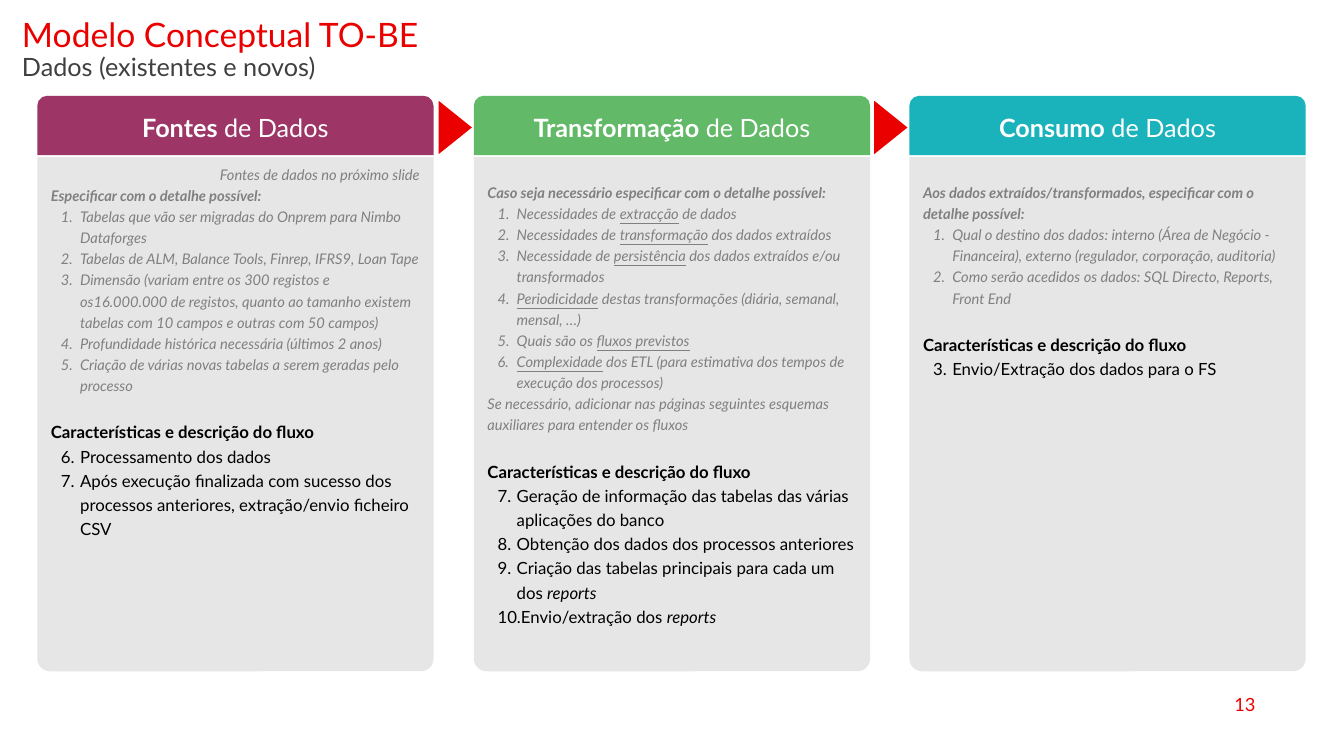
from pptx import Presentation
from pptx.dml.color import RGBColor
from pptx.enum.shapes import MSO_SHAPE
from pptx.enum.text import MSO_ANCHOR, PP_ALIGN
from pptx.oxml.ns import qn
from pptx.util import Inches, Pt
from lxml import etree

ROUND_TOP = MSO_SHAPE.ROUND_2_SAME_RECTANGLE
TRIANGLE = MSO_SHAPE.ISOSCELES_TRIANGLE
TOP, MIDDLE = MSO_ANCHOR.TOP, MSO_ANCHOR.MIDDLE
LEFT, CENTER, RIGHT = PP_ALIGN.LEFT, PP_ALIGN.CENTER, PP_ALIGN.RIGHT

THEME = {
    "font": "Lato",
    "red": "EB0000", "dark": "404040", "gray": "808080", "black": "000000",
    "white": "FFFFFF", "panel": "E7E6E6",
    "purple": "9D3566", "green": "62B967", "teal": "1AB2BB",
    "title": 24, "heading": 18, "number": 13, "flow": 12, "guide": 10.5,
}

CARD_W, HEAD_Y, HEAD_H, BODY_Y, BODY_H = 3.93, 0.95, 0.59, 1.56, 5.1
ARROW_W, ARROW_H, ARROW_Y = 0.53, 0.33, 1.1
FLOW_TITLE = "Características e descrição do fluxo"

COLUMNS = [
    {"left": 0.37, "name": "Fontes", "color": "purple", "inset": 0.05,
     "guide": [
         ("note", "Fontes de dados no próximo slide"),
         ("lead", "Especificar com o detalhe possível:"),
         ("item", "Tabelas que vão ser migradas do Onprem para Nimbo Dataforges"),
         ("item", "Tabelas de ALM, Balance Tools, Finrep, IFRS9, Loan Tape"),
         ("item", "Dimensão (variam entre os 300 registos e os16.000.000 de registos, "
                  "quanto ao tamanho existem tabelas com 10 campos e outras com 50 campos)"),
         ("item", "Profundidade histórica necessária (últimos 2 anos)"),
         ("item", "Criação de várias novas tabelas a serem geradas pelo processo"),
     ],
     "flow": [
         "Processamento dos dados",
         "Após execução finalizada com sucesso dos processos anteriores, "
         "extração/envio ficheiro CSV",
     ]},
    {"left": 4.7, "name": "Transformação", "color": "green", "inset": 0.23,
     "guide": [
         ("lead", "Caso seja necessário especificar com o detalhe possível:"),
         ("item", "Necessidades de _extracção_ de dados"),
         ("item", "Necessidades de _transformação_ dos dados extraídos"),
         ("item", "Necessidade de _persistência_ dos dados extraídos e/ou transformados"),
         ("item", "_Periodicidade_ destas transformações (diária, semanal, mensal, …)"),
         ("item", "Quais são os _fluxos previstos_"),
         ("item", "_Complexidade_ dos ETL (para estimativa dos tempos de execução dos processos)"),
         ("plain", "Se necessário, adicionar nas páginas seguintes esquemas auxiliares "
                   "para entender os fluxos"),
     ],
     "flow": [
         "Geração de informação das tabelas das várias aplicações do banco",
         "Obtenção dos dados dos processos anteriores",
         "Criação das tabelas principais para cada um dos _reports_",
         "Envio/extração dos _reports_",
     ]},
    {"left": 9.02, "name": "Consumo", "color": "teal", "inset": 0.23,
     "guide": [
         ("lead", "Aos dados extraídos/transformados, especificar com o detalhe possível:"),
         ("item", "Qual o destino dos dados: interno (Área de Negócio - Financeira), "
                  "externo (regulador, corporação, auditoria)"),
         ("item", "Como serão acedidos os dados: SQL Directo, Reports, Front End"),
     ],
     "flow": ["Envio/Extração dos dados para o FS"]},
]


def add_run(p, text, size, color, bold=False, italic=False, underline=False):
    r = p.add_run()
    r.text = text
    r.font.name = THEME["font"]
    r.font.size = Pt(THEME[size])
    r.font.color.rgb = RGBColor.from_string(THEME[color])
    r.font.bold, r.font.italic, r.font.underline = bold, italic, underline


def add_block(s, kind, x, y, w, h, color):
    sp = s.shapes.add_shape(kind, Inches(x), Inches(y), Inches(w), Inches(h))
    sp.shadow.inherit = False
    sp.fill.solid()
    sp.fill.fore_color.rgb = RGBColor.from_string(THEME[color])
    sp.line.fill.background()
    return sp


prs = Presentation()
prs.slide_width, prs.slide_height = Inches(13.33), Inches(7.5)
s = prs.slides.add_slide(prs.slide_layouts[6])

tf = s.shapes.add_textbox(Inches(0.12), Inches(0.13), Inches(6.76), Inches(0.59)).text_frame
tf.word_wrap = True
p = tf.paragraphs[0]
p.line_spacing = 0.9
add_run(p, "Modelo Conceptual TO-BE", "title", "red")
p.add_line_break()
add_run(p, "Dados (existentes e novos)", "heading", "dark")

tf = s.shapes.add_textbox(Inches(9.55), Inches(6.79), Inches(3), Inches(0.4)).text_frame
tf.word_wrap = True
tf.vertical_anchor = MIDDLE
p = tf.paragraphs[0]
p.alignment = RIGHT
add_run(p, "13", "number", "red")

for col in COLUMNS:
    sp = add_block(s, ROUND_TOP, col["left"], BODY_Y, CARD_W, BODY_H, "panel")
    sp.adjustments[0], sp.adjustments[1] = 0, 0.032
    tf = sp.text_frame
    tf.word_wrap = True
    tf.vertical_anchor = TOP
    tf.margin_top = Inches(col["inset"])
    rows = [(kind, text, False) for kind, text in col["guide"]]
    rows.append(("lead", FLOW_TITLE, True))
    rows += [("item", text, True) for text in col["flow"]]
    for i, (kind, text, is_flow) in enumerate(rows):
        p = tf.add_paragraph() if i else tf.paragraphs[0]
        p.alignment = RIGHT if kind == "note" else LEFT
        p.line_spacing = 1.2
        if is_flow and kind == "lead":
            p.space_before = Pt(17)
        if kind == "item":
            p.level = 1
            pPr = p._p.get_or_add_pPr()
            pPr.set("marL", str(Inches(0.29)))
            pPr.set("indent", str(Inches(-0.19)))
            etree.SubElement(pPr, qn("a:buFont"), typeface="+mj-lt")
            etree.SubElement(pPr, qn("a:buAutoNum"), type="arabicPeriod")
        size, color = ("flow", "black") if is_flow else ("guide", "gray")
        for j, part in enumerate(text.split("_")):
            marked = j % 2 == 1
            if part:
                add_run(p, part, size, color, bold=kind == "lead",
                        italic=marked or not is_flow, underline=marked and not is_flow)

    sp = add_block(s, ROUND_TOP, col["left"], HEAD_Y, CARD_W, HEAD_H, col["color"])
    tf = sp.text_frame
    tf.vertical_anchor = MIDDLE
    p = tf.paragraphs[0]
    p.alignment = CENTER
    add_run(p, col["name"], "heading", "white", bold=True)
    add_run(p, " de Dados", "heading", "white")

for x in (4.25, 8.57):
    arrow = add_block(s, TRIANGLE, x, ARROW_Y, ARROW_W, ARROW_H, "red")
    arrow.rotation = 90

prs.save("out.pptx")
